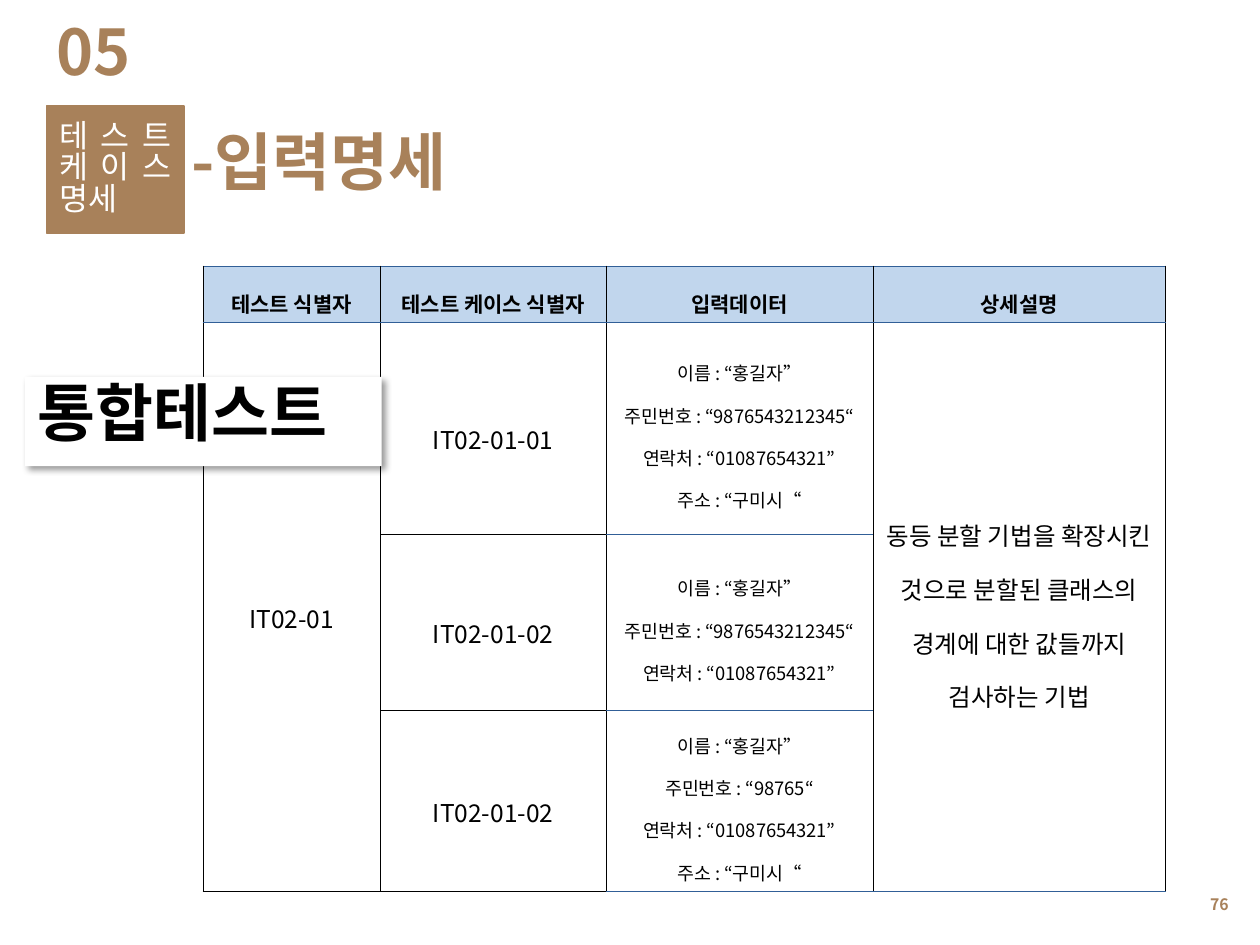
import lxml.etree
import pptx
import pptx.dml.color
import pptx.enum.shapes
import pptx.enum.text
import pptx.oxml.ns
import pptx.util

Inches = pptx.util.Inches
Pt = pptx.util.Pt
ALIGN = pptx.enum.text.PP_ALIGN
ANCHOR = pptx.enum.text.MSO_ANCHOR
qn = pptx.oxml.ns.qn

FONT = "Noto Sans CJK KR"
BROWN, BLACK, WHITE = "A8815A", "000000", "FFFFFF"
HEADER_BLUE, LINE_BLUE = "C1D6ED", "315F97"

HEADERS = ["테스트 식별자", "테스트 케이스 식별자", "입력데이터", "상세설명"]
NAME, PHONE, ADDRESS = "이름 : “홍길자”", "연락처 : “01087654321”", "주소 : “구미시“"
LONG_ID = "주민번호 : “9876543212345“"
CASES = [
    ("IT02-01-01", [NAME, LONG_ID, PHONE, ADDRESS]),
    ("IT02-01-02", [NAME, LONG_ID, PHONE]),
    ("IT02-01-02", [NAME, "주민번호 : “98765“", PHONE, ADDRESS]),
]
DESCRIPTION = "동등 분할 기법을 확장시킨 것으로 분할된 클래스의 경계에 대한 값들까지 검사하는 기법"


def color(value):
    """Turn a hex string into a colour."""
    return pptx.dml.color.RGBColor.from_string(value)


def write(frame, lines, size=14, fill=BLACK, bold=False, align=ALIGN.LEFT, spacing=1.0):
    """Write one formatted paragraph for each line."""
    for index, line in enumerate(lines):
        paragraph = frame.add_paragraph() if index else frame.paragraphs[0]
        paragraph.alignment = align
        paragraph.line_spacing = spacing
        run = paragraph.add_run()
        run.text = line
        run.font.size = Pt(size)
        run.font.bold = bold
        run.font.name = FONT
        run.font.color.rgb = color(fill)
        east_asian = lxml.etree.Element(qn("a:ea"), typeface=FONT)
        run.font._element.find(qn("a:latin")).addnext(east_asian)


def prepare_frame(shape, anchor):
    """Make a shape's text wrap at a fixed size."""
    frame = shape.text_frame
    frame.word_wrap = True
    frame.auto_size = pptx.enum.text.MSO_AUTO_SIZE.NONE
    frame.vertical_anchor = anchor
    return frame


def add_title(slide, text):
    """Place and format the title."""
    title = slide.shapes.title
    title.left, title.top = Inches(1.42), Inches(1)
    title.width, title.height = Inches(8.03), Inches(0.71)
    write(prepare_frame(title, ANCHOR.TOP), [text], size=36, fill=BROWN, bold=True, spacing=0.88)


def add_text(slide, box, text, anchor=ANCHOR.TOP, **text_format):
    """Add a text box."""
    shape = slide.shapes.add_textbox(*map(Inches, box))
    write(prepare_frame(shape, anchor), [text], **text_format)


def add_panel(slide, box, text, fill, outline=None, anchor=ANCHOR.TOP, **text_format):
    """Add a filled rectangle with text."""
    shape = slide.shapes.add_shape(
        pptx.enum.shapes.MSO_SHAPE.RECTANGLE, *map(Inches, box))
    shape.shadow.inherit = False
    shape.fill.solid()
    shape.fill.fore_color.rgb = color(fill)
    if outline:
        shape.line.color.rgb = color(outline)
        shape.line.width = Pt(0.75)
    else:
        shape.line.fill.background()
    write(prepare_frame(shape, anchor), [text], **text_format)
    return shape


def add_shadow(shape):
    """Give a shape a soft shadow to the lower right."""
    effects = shape._element.spPr.find(qn("a:effectLst"))
    shadow = lxml.etree.SubElement(
        effects, qn("a:outerShdw"), blurRad=str(Pt(4)), dist=str(Pt(3)),
        dir=str(45 * 60000), algn="tl", rotWithShape="0")
    shade = lxml.etree.SubElement(shadow, qn("a:srgbClr"), val=BLACK)
    lxml.etree.SubElement(shade, qn("a:alpha"), val="40000")


def set_borders(cell, top, bottom):
    """Draw black sides and coloured horizontal borders on a cell."""
    properties = cell._tc.get_or_add_tcPr()
    sides = {"a:lnL": BLACK, "a:lnR": BLACK, "a:lnT": top, "a:lnB": bottom}
    for position, (tag, value) in enumerate(sides.items()):
        line = lxml.etree.Element(qn(tag), w=str(Pt(0.25)))
        fill = lxml.etree.SubElement(line, qn("a:solidFill"))
        lxml.etree.SubElement(fill, qn("a:srgbClr"), val=value)
        properties.insert(position, line)


def style_cell(cell, row, column):
    """Set the fill, margins and borders of a cell."""
    cell.fill.solid()
    cell.fill.fore_color.rgb = color(WHITE if row else HEADER_BLUE)
    cell.vertical_anchor = ANCHOR.MIDDLE
    cell.margin_left = cell.margin_right = Inches(0.07)
    cell.margin_top = cell.margin_bottom = Inches(0.02)
    top = LINE_BLUE if row <= 1 or column >= 2 else BLACK
    bottom = LINE_BLUE if row == 0 or column >= 2 else BLACK
    set_borders(cell, top, bottom)


def add_case_table(slide):
    """Add the table of test cases."""
    widths, heights = [1.41, 1.79, 2.12, 2.32], [0.45, 1.68, 1.4, 1.43]
    table = slide.shapes.add_table(
        len(heights), len(widths), Inches(1.61), Inches(2.11),
        Inches(sum(widths)), Inches(sum(heights))).table
    table.first_row = table.horz_banding = False
    for column, width in zip(table.columns, widths):
        column.width = Inches(width)
    for row, height in zip(table.rows, heights):
        row.height = Inches(height)
    for row in range(len(heights)):
        for column in range(len(widths)):
            style_cell(table.cell(row, column), row, column)
    for column in (0, 3):
        table.cell(1, column).merge(table.cell(3, column))

    def fill_cell(row, column, lines, spacing=1.6, **text_format):
        """Write centred text in a cell."""
        write(table.cell(row, column).text_frame, lines,
              align=ALIGN.CENTER, spacing=spacing, **text_format)

    for column, header in enumerate(HEADERS):
        fill_cell(0, column, [header], size=12, bold=True)
    for row, (identifier, inputs) in enumerate(CASES, 1):
        fill_cell(row, 1, [identifier])
        fill_cell(row, 2, inputs, size=10.5)
    fill_cell(1, 0, ["IT02-01"])
    fill_cell(1, 3, [DESCRIPTION], spacing=1.5)


def main():
    """Build and save the slide."""
    presentation = pptx.Presentation()
    presentation.slide_width, presentation.slide_height = Inches(10), Inches(7.5)
    slide = presentation.slides.add_slide(presentation.slide_layouts[5])
    add_text(slide, (7.52, 6.98, 2.33, 0.4), "76", anchor=ANCHOR.MIDDLE,
             size=9, fill=BROWN, bold=True, align=ALIGN.RIGHT)
    add_panel(slide, (0.37, 0.84, 1.09, 1.01), "테스트 케이스명세", BROWN, outline=BROWN,
              anchor=ANCHOR.MIDDLE, size=18, align=ALIGN.JUSTIFY, spacing=0.83) \
        .text_frame.paragraphs[0].runs[0].font.color.rgb = color(WHITE)
    add_text(slide, (0.35, 0.13, 1.26, 0.71), "05",
             size=36, fill=BROWN, bold=True, spacing=0.88)
    add_title(slide, "-입력명세")
    add_case_table(slide)
    label = add_panel(slide, (0.2, 2.99, 2.83, 0.71), "통합테스트", WHITE,
                      size=36, bold=True, spacing=0.88)
    add_shadow(label)
    presentation.save("out.pptx")


if __name__ == "__main__":
    main()
